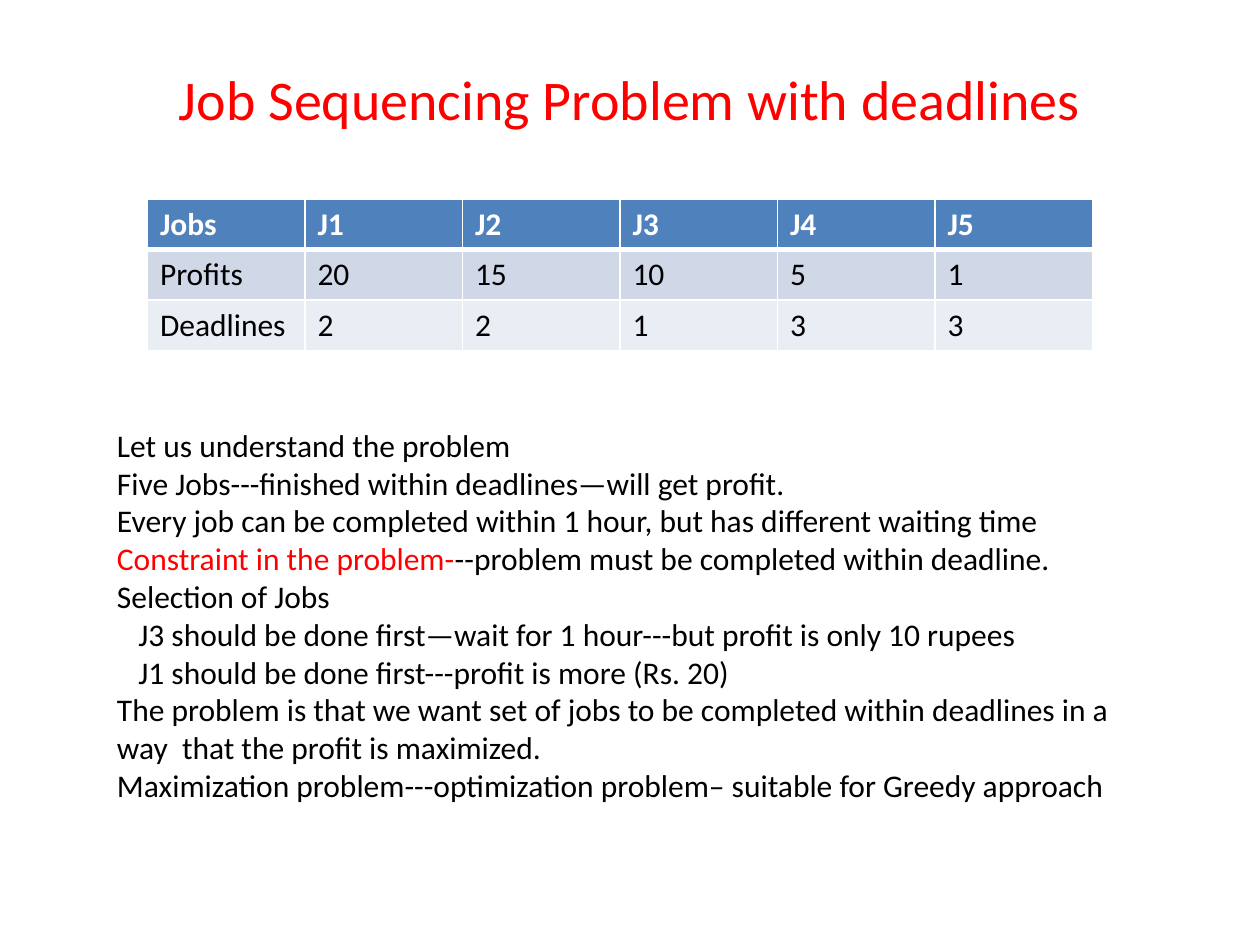
import pptx
import pptx.util
import pptx.dml.color
import pptx.enum.text
import pptx.oxml
from pptx.util import Inches

RGBColor = pptx.dml.color.RGBColor
WHITE = RGBColor(0xFF, 0xFF, 0xFF)
BLACK = RGBColor(0, 0, 0)
RED = RGBColor(0xFF, 0, 0)
HEADER = RGBColor(0x4F, 0x81, 0xBD)
BANDS = (RGBColor(0xD0, 0xD8, 0xE8), RGBColor(0xE9, 0xED, 0xF4))
NS = 'xmlns:a="http://schemas.openxmlformats.org/drawingml/2006/main"'
INDENT = 0.17


class Deck:
    font = "Calibri"
    body_size = 18
    title_size = 32

    def __init__(self, prs):
        self.s = prs.slides.add_slide(prs.slide_layouts[6])

    def run(self, p, text, color=BLACK, size=body_size, bold=False):
        r = p.add_run()
        r.text = text
        r.font.name = self.font
        r.font.size = pptx.util.Pt(size)
        r.font.bold = bold
        r.font.color.rgb = color

    def box(self, x, y, w, h):
        tf = self.s.shapes.add_textbox(Inches(x), Inches(y), Inches(w), Inches(h)).text_frame
        tf.word_wrap = True
        return tf

    def title(self, text, *at):
        tf = self.box(*at)
        tf.vertical_anchor = pptx.enum.text.MSO_ANCHOR.MIDDLE
        p = tf.paragraphs[0]
        p.alignment = pptx.enum.text.PP_ALIGN.CENTER
        self.run(p, text, RED, self.title_size)

    def body(self, lines, *at):
        tf = self.box(*at)
        tf.auto_size = pptx.enum.text.MSO_AUTO_SIZE.SHAPE_TO_FIT_TEXT
        for i, (indent, runs) in enumerate(lines):
            p = tf.add_paragraph() if i else tf.paragraphs[0]
            if indent:
                p._p.get_or_add_pPr().set("marL", str(Inches(indent)))
            for text, color in runs:
                self.run(p, text, color)

    def borders(self, cell, bottom):
        # Borders must come before the fill in the cell properties
        tcPr = cell._tc.get_or_add_tcPr()
        widths = (("lnL", 1), ("lnR", 1), ("lnT", 1), ("lnB", bottom))
        for i, (tag, width) in enumerate(widths):
            tcPr.insert(i, pptx.oxml.parse_xml(
                f'<a:{tag} {NS} w="{pptx.util.Pt(width)}"><a:solidFill>'
                f'<a:srgbClr val="{WHITE}"/></a:solidFill></a:{tag}>'))

    def table(self, rows, x, y, w, h):
        tbl = self.s.shapes.add_table(len(rows), len(rows[0]), Inches(x), Inches(y),
                                      Inches(w), Inches(h)).table
        for i, row in enumerate(rows):
            head = i == 0
            for j, text in enumerate(row):
                cell = tbl.cell(i, j)
                cell.fill.solid()
                cell.fill.fore_color.rgb = HEADER if head else BANDS[(i - 1) % 2]
                self.borders(cell, 3 if head else 1)
                self.run(cell.text_frame.paragraphs[0], text,
                         WHITE if head else BLACK, bold=head)


def plain(text, indent=0):
    return indent, [(text, BLACK)]


def main():
    prs = pptx.Presentation()
    prs.slide_width, prs.slide_height = Inches(10), Inches(7.5)
    deck = Deck(prs)

    # Title
    deck.title("Job Sequencing Problem with deadlines", 0.5, 0.3, 9, 0.95)

    # Jobs with profits and deadlines
    deck.table([
        ("Jobs", "J1", "J2", "J3", "J4", "J5"),
        ("Profits", "20", "15", "10", "5", "1"),
        ("Deadlines", "2", "2", "1", "3", "3"),
    ], 1.17, 1.58, 7.5, 1.2)

    # Explanation
    deck.body([
        plain("Let us understand the problem"),
        plain("Five Jobs---finished within deadlines—will get profit."),
        plain("Every job can be completed within 1 hour, but has different waiting time"),
        (0, [("Constraint in the problem-", RED),
             ("--problem must be completed within deadline.", BLACK)]),
        plain("Selection of Jobs"),
        plain("J3 should be done first—wait for 1 hour---but profit is only 10 rupees", INDENT),
        plain("J1 should be done first---profit is more (Rs. 20)", INDENT),
        plain("The problem is that we want set of jobs to be completed within deadlines "
              "in a way  that the profit is maximized."),
        plain("Maximization problem---optimization problem– suitable for Greedy approach"),
    ], 0.83, 3.33, 8.25, 3.13)

    prs.save("out.pptx")


if __name__ == "__main__":
    main()
